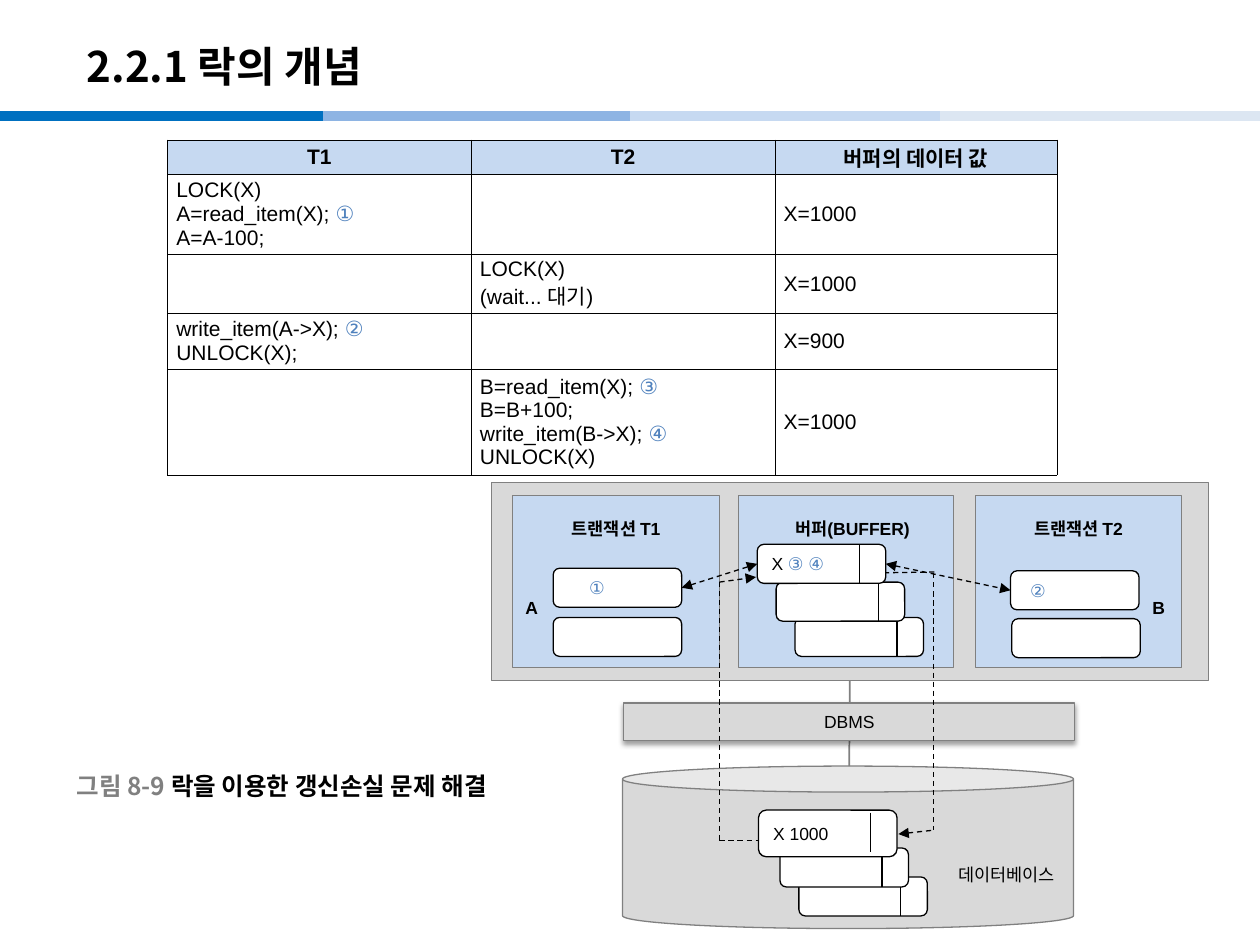
from itertools import groupby

from lxml.etree import SubElement
from pptx import Presentation
from pptx.dml.color import RGBColor
from pptx.enum.dml import MSO_LINE
from pptx.enum.shapes import MSO_CONNECTOR, MSO_SHAPE
from pptx.enum.text import MSO_ANCHOR, PP_ALIGN
from pptx.oxml import parse_xml
from pptx.oxml.ns import nsdecls, qn
from pptx.util import Inches, Pt

BLACK = RGBColor(0x00, 0x00, 0x00)
WHITE = RGBColor(0xFF, 0xFF, 0xFF)
GRAY = RGBColor(0x80, 0x80, 0x80)
LIGHT_GRAY = RGBColor(0xD9, 0xD9, 0xD9)
PALE_BLUE = RGBColor(0xC6, 0xD9, 0xF1)
STEP_BLUE = RGBColor(0x4F, 0x81, 0xBD)
BAND_COLORS = [RGBColor(0x00, 0x70, 0xC0), RGBColor(0x8E, 0xB4, 0xE3),
               PALE_BLUE, RGBColor(0xDC, 0xE6, 0xF2)]
KOREAN_FONT = "Noto Sans CJK KR"
STEPS = "①②③④"

prs = Presentation()
prs.slide_width, prs.slide_height = Inches(10), Inches(7.5)
slide = prs.slides.add_slide(prs.slide_layouts[6])


def write(paragraph, text, size=10, bold=False, align=PP_ALIGN.LEFT):
    """Fill a paragraph, setting the circled step numbers in blue."""
    paragraph.alignment = align
    for is_step, letters in groupby(text, key=lambda letter: letter in STEPS):
        run = paragraph.add_run()
        run.text = "".join(letters)
        run.font.name, run.font.size, run.font.bold = "Arial", Pt(size), bold
        run.font.color.rgb = STEP_BLUE if is_step else BLACK


def add_line(shapes, start, end, color=BLACK, width=0.75, dashed=False, arrows=()):
    """Draw a line; arrows names the ends with a head, headEnd before tailEnd."""
    line = shapes.add_connector(MSO_CONNECTOR.STRAIGHT,
                                *(Inches(value) for value in (*start, *end)))
    line.line.color.rgb, line.line.width = color, Pt(width)
    if dashed:
        line.line.dash_style = MSO_LINE.DASH
    for arrow in arrows:
        SubElement(line.line._ln, qn(f"a:{arrow}"), type="triangle")
    SubElement(line._element.spPr, qn("a:effectLst"))
    return line


# Header band and title
band_edges = [(0, 2.56), (2.56, 5.12), (5, 7.56), (7.46, 10.02)]
for (left, right), color in zip(band_edges, BAND_COLORS):
    add_line(slide.shapes, (left, 0.92), (right, 0.92), color, 6)

headings = [
    (0.59, 0.22, 8.27, 0.6, 24, [("2.2.1 락의 개념", BLACK)]),
    (0.51, 6.08, 3.8, 0.31, 14,
     [("그림 8-9 ", GRAY), ("락을 이용한 갱신손실 문제 해결", BLACK)]),
]
for left, top, width, height, size, parts in headings:
    heading = slide.shapes.add_textbox(Inches(left), Inches(top), Inches(width), Inches(height))
    heading.text_frame.word_wrap = True
    heading.text_frame.vertical_anchor = MSO_ANCHOR.MIDDLE
    for text, color in parts:
        run = heading.text_frame.paragraphs[0].add_run()
        run.text = text
        run.font.name, run.font.size, run.font.bold = KOREAN_FONT, Pt(size), True
        run.font.color.rgb = color
        SubElement(run.font._element, qn("a:ea"), typeface=KOREAN_FONT)

# Schedule of the two transactions
schedule_rows = [
    ["T1", "T2", "버퍼의 데이터 값"],
    ["LOCK(X)\nA=read_item(X); ①\nA=A-100;", "", "X=1000"],
    ["", "LOCK(X)\n(wait... 대기)", "X=1000"],
    ["write_item(A->X); ②\nUNLOCK(X);", "", "X=900"],
    ["", "B=read_item(X); ③\nB=B+100;\nwrite_item(B->X); ④\nUNLOCK(X)", "X=1000"],
]
schedule = slide.shapes.add_table(5, 3, Inches(1.33), Inches(1.11),
                                  Inches(7.06), Inches(2.54)).table
for column, width in zip(schedule.columns, [2.41, 2.41, 2.24]):
    column.width = Inches(width)
for row, height in zip(schedule.rows, [0.27, 0.6, 0.47, 0.41, 0.79]):
    row.height = Inches(height)
for row_index, row_texts in enumerate(schedule_rows):
    is_header = row_index == 0
    for column_index, text in enumerate(row_texts):
        cell = schedule.cell(row_index, column_index)
        cell.margin_left = cell.margin_right = Inches(0.07)
        cell.margin_top = cell.margin_bottom = Inches(0.02)
        cell.vertical_anchor = MSO_ANCHOR.MIDDLE
        for line_index, line_text in enumerate(text.split("\n")):
            frame = cell.text_frame
            paragraph = frame.add_paragraph() if line_index else frame.paragraphs[0]
            write(paragraph, line_text, 12, is_header,
                  PP_ALIGN.CENTER if is_header else PP_ALIGN.JUSTIFY)
        if not text:
            cell.text_frame.paragraphs[0].font.size = Pt(12)
        cell_properties = cell._tc.get_or_add_tcPr()
        for side in ("lnL", "lnR", "lnT", "lnB"):
            cell_properties.append(parse_xml(
                f'<a:{side} {nsdecls("a")} w="{Pt(0.28)}"><a:solidFill>'
                f'<a:srgbClr val="{BLACK}"/></a:solidFill></a:{side}>'))
        cell.fill.solid()
        cell.fill.fore_color.rgb = PALE_BLUE if is_header else WHITE


def add_box(shapes, kind, left, top, width, height, fill=WHITE, line=BLACK, line_width=0.75,
            text="", inset=0.1, bold=False, align=PP_ALIGN.LEFT):
    box = shapes.add_shape(kind, Inches(left), Inches(top), Inches(width), Inches(height))
    box.shadow.inherit = False
    box.fill.solid()
    box.fill.fore_color.rgb = fill
    box.line.color.rgb, box.line.width = line, Pt(line_width)
    if text:
        frame = box.text_frame
        frame.word_wrap = True
        frame.vertical_anchor = MSO_ANCHOR.MIDDLE
        frame.margin_left = Inches(inset)
        frame.margin_top = frame.margin_bottom = 0
        write(frame.paragraphs[0], text, bold=bold, align=align)
    return box


RECT, ROUNDED = MSO_SHAPE.RECTANGLE, MSO_SHAPE.ROUNDED_RECTANGLE

# Memory, DBMS and database
memory = add_box(slide.shapes, RECT, 3.9, 3.83, 5.69, 1.57, LIGHT_GRAY, GRAY, 0.5)
database = add_box(slide.shapes, MSO_SHAPE.CAN, 4.94, 6.08, 3.58, 1.29, LIGHT_GRAY, GRAY)
database.adjustments[0] = 0.16
memory_link = add_line(slide.shapes, (6.74, 5.4), (6.74, 6.08), GRAY, 1)
memory_link.begin_connect(memory, 2)
dbms = add_box(slide.shapes, RECT, 4.95, 5.58, 3.58, 0.3, LIGHT_GRAY, GRAY,
               text="DBMS", align=PP_ALIGN.CENTER)
dbms_shadow = SubElement(dbms._element.spPr.find(qn("a:effectLst")), qn("a:outerShdw"),
                         blurRad=str(Pt(3.1)), dist=str(Pt(1.6)), dir="5400000", rotWithShape="0")
shadow_color = SubElement(dbms_shadow, qn("a:srgbClr"), val=str(BLACK))
SubElement(shadow_color, qn("a:alpha"), val="38000")

for left, width, text, inset in [(5.86, 1.71, "버퍼(BUFFER)", 0.2),
                                 (7.74, 1.64, "트랜잭션 T2", 0.1),
                                 (4.07, 1.64, "트랜잭션 T1", 0.1)]:
    panel = add_box(slide.shapes, RECT, left, 3.93, width, 1.37, PALE_BLUE, GRAY, 0.5,
                    text, inset, True, PP_ALIGN.CENTER)
    panel.text_frame.vertical_anchor = MSO_ANCHOR.TOP
    panel.text_frame.margin_top = Inches(0.18)

# Local variables of each transaction
t1_item = add_box(slide.shapes, ROUNDED, 4.39, 4.51, 1.02, 0.31, text="①", inset=0.27)
add_box(slide.shapes, ROUNDED, 4.39, 4.9, 1.02, 0.31)
t2_item = add_box(slide.shapes, ROUNDED, 8.02, 4.53, 1.02, 0.31, text="②", inset=0.14)
add_box(slide.shapes, ROUNDED, 8.03, 4.91, 1.02, 0.31)

for left, top, width, text, bold in [(9.05, 4.69, 0.29, "B", True),
                                     (4.07, 4.69, 0.3, "A", True),
                                     (7.44, 6.81, 1.09, "데이터베이스", False)]:
    label = slide.shapes.add_textbox(Inches(left), Inches(top), Inches(width), Inches(0.27))
    write(label.text_frame.paragraphs[0], text, bold=bold, align=PP_ALIGN.CENTER)
    label.text_frame.word_wrap = True
    label.text_frame.margin_left = label.text_frame.margin_right = Inches(0.05)

# Paths between buffer and database, beneath the records
for start, end, arrows in [((5.71, 4.62), (6, 4.58), ["tailEnd"]),
                           ((5.71, 4.62), (5.71, 6.67), []),
                           ((5.71, 6.67), (6.18, 6.67), []),
                           ((6.73, 4.55), (7.42, 4.54), []),
                           ((7.41, 4.55), (7.41, 6.59), []),
                           ((7.13, 6.62), (7.4, 6.59), ["headEnd"])]:
    add_line(slide.shapes, start, end, dashed=True, arrows=arrows)

# Stacked records, each with a divider near its right end
for left, top, width, height, divider_top, text in [
        (6.31, 4.9, 1.02, 0.31, 4.9, ""), (6.16, 4.62, 1.02, 0.31, 4.62, ""),
        (6.34, 6.96, 1.02, 0.31, 6.96, ""), (6.19, 6.73, 1.02, 0.31, 6.73, ""),
        (6.02, 6.43, 1.1, 0.37, 6.45, "X 1000"), (6.01, 4.32, 1.02, 0.31, 4.32, "X ③ ④")]:
    record = slide.shapes.add_group_shape()
    buffer_item = add_box(record.shapes, ROUNDED, left, top, width, height, text=text)
    divider = left + width - 0.21
    add_line(record.shapes, (divider, divider_top), (divider, divider_top + 0.31))

for source, target in [(t1_item, buffer_item), (buffer_item, t2_item)]:
    exchange = add_line(slide.shapes, (0, 0), (1, 1), dashed=True, arrows=["headEnd", "tailEnd"])
    exchange.begin_connect(source, 3)
    exchange.end_connect(target, 1)

prs.save("out.pptx")
